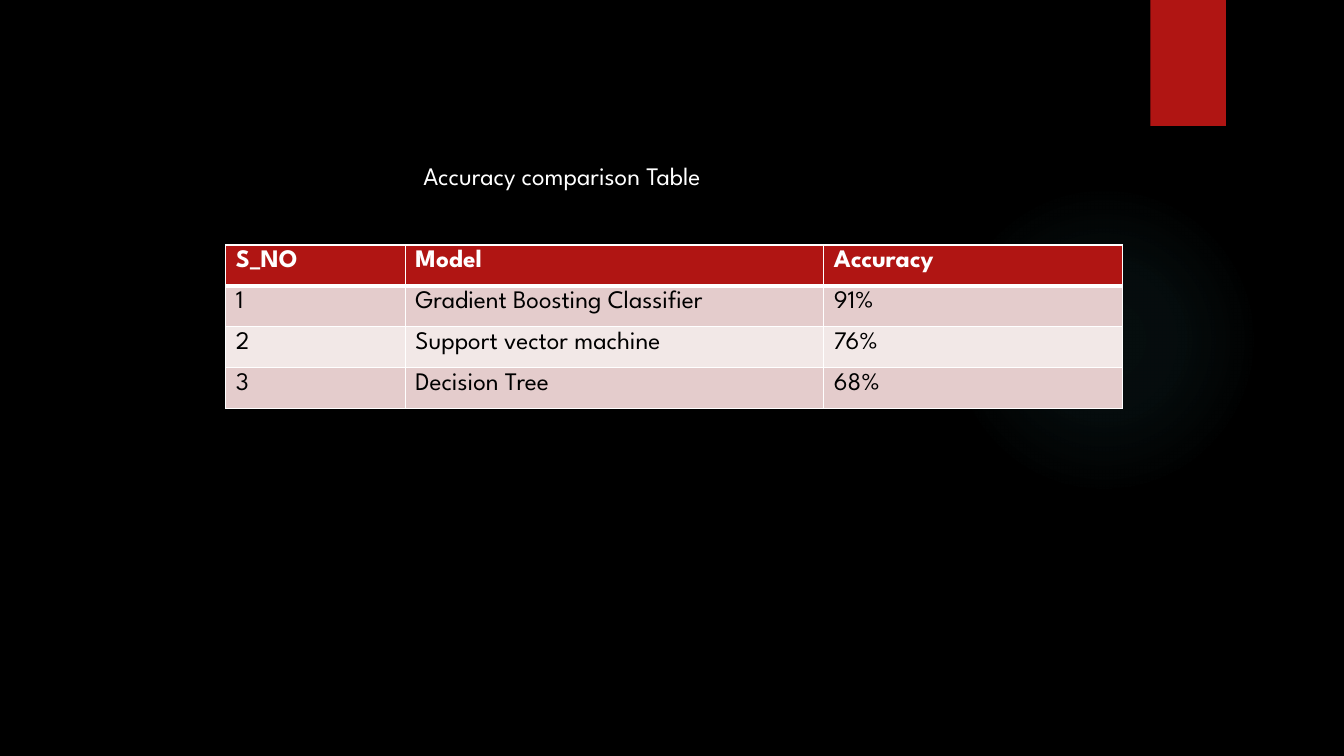
from dataclasses import dataclass

from lxml import etree
from pptx import Presentation
from pptx.dml.color import RGBColor
from pptx.enum.shapes import MSO_SHAPE
from pptx.oxml import parse_xml
from pptx.oxml.ns import qn
from pptx.util import Inches, Pt

OVAL = MSO_SHAPE.OVAL
RECTANGLE = MSO_SHAPE.RECTANGLE
FONT = "League Spartan"
TEXT_SIZE = Pt(18)
COLORS = {
    "background": "000000",
    "glow": "50B9C1",
    "red": "B01513",
    "dark_band": "E4CCCC",
    "light_band": "F2E8E7",
    "white": "FFFFFF",
    "black": "000000",
}
GLOW_STOPS = ((0, 7), (36, 6), (69, 0))  # position and opacity, in percent
COLUMN_WIDTHS = (1.78, 4.15, 2.96)
TABLE_HEIGHT = 1.62


@dataclass
class RowStyle:
    fill: str
    text: str
    bold: bool
    bottom_border: int


@dataclass
class ModelRow:
    texts: tuple[str, str, str]
    style: RowStyle


HEADER = RowStyle("red", "white", True, 3)
DARK_BAND = RowStyle("dark_band", "black", False, 1)
LIGHT_BAND = RowStyle("light_band", "black", False, 1)
ROWS = (
    ModelRow(("S_NO", "Model", "Accuracy"), HEADER),
    ModelRow(("1", "Gradient Boosting Classifier", "91%"), DARK_BAND),
    ModelRow(("2", "Support vector machine", "76%"), LIGHT_BAND),
    ModelRow(("3", "Decision Tree", "68%"), DARK_BAND),
)


def color(name: str) -> RGBColor:
    return RGBColor.from_string(COLORS[name])


def write(frame, text: str, color_name: str, bold: bool = False) -> None:
    para = frame.paragraphs[0]
    para.text = text
    para.font.name = FONT
    para.font.size = TEXT_SIZE
    para.font.bold = bold
    para.font.color.rgb = color(color_name)


def add_plain_shape(page, kind, left: float, top: float, width: float, height: float):
    shape = page.shapes.add_shape(
        kind, Inches(left), Inches(top), Inches(width), Inches(height))
    shape.shadow.inherit = False
    shape.line.fill.background()
    return shape


def add_glow(page) -> None:
    glow = add_plain_shape(page, OVAL, 9.41, 1.83, 3.08, 3.08)
    stops = "".join(
        f'<a:gs pos="{position * 1000}"><a:srgbClr val="{COLORS["glow"]}">'
        f'<a:alpha val="{opacity * 1000}"/></a:srgbClr></a:gs>'
        for position, opacity in GLOW_STOPS)
    gradient = parse_xml(
        '<a:gradFill xmlns:a="http://schemas.openxmlformats.org/drawingml/2006/main">'
        f'<a:gsLst>{stops}</a:gsLst><a:path path="circle">'
        '<a:fillToRect l="50000" t="50000" r="50000" b="50000"/></a:path></a:gradFill>')
    glow.element.spPr.find(qn("a:prstGeom")).addnext(gradient)


def add_borders(cell, bottom_width: int) -> None:
    properties = cell._tc.get_or_add_tcPr()
    for side, width in (("L", 1), ("R", 1), ("T", 1), ("B", bottom_width)):
        line = etree.SubElement(properties, qn(f"a:ln{side}"), w=str(Pt(width)))
        fill = etree.SubElement(line, qn("a:solidFill"))
        etree.SubElement(fill, qn("a:srgbClr"), val=COLORS["white"])


def add_accuracy_table(page) -> None:
    table = page.shapes.add_table(
        len(ROWS), len(COLUMN_WIDTHS), Inches(2.24), Inches(2.43),
        Inches(sum(COLUMN_WIDTHS)), Inches(TABLE_HEIGHT)).table
    for column, width in zip(table.columns, COLUMN_WIDTHS):
        column.width = Inches(width)
    for row, model in zip(table.rows, ROWS):
        style = model.style
        for cell, text in zip(row.cells, model.texts):
            add_borders(cell, style.bottom_border)
            cell.fill.solid()
            cell.fill.fore_color.rgb = color(style.fill)
            write(cell.text_frame, text, style.text, style.bold)


def main() -> None:
    deck = Presentation()
    deck.slide_width, deck.slide_height = Inches(13.33), Inches(7.5)
    page = deck.slides.add_slide(deck.slide_layouts[6])

    # Backdrop
    page.background.fill.solid()
    page.background.fill.fore_color.rgb = color("background")
    add_glow(page)
    ribbon = add_plain_shape(page, RECTANGLE, 11.41, 0, 0.75, 1.25)
    ribbon.fill.solid()
    ribbon.fill.fore_color.rgb = color("red")

    # Table and its caption
    add_accuracy_table(page)
    caption = page.shapes.add_textbox(
        Inches(4.1), Inches(1.54), Inches(3.67), Inches(0.4))
    caption.text_frame.word_wrap = True
    write(caption.text_frame, "Accuracy comparison Table", "white")

    deck.save("out.pptx")


if __name__ == "__main__":
    main()
